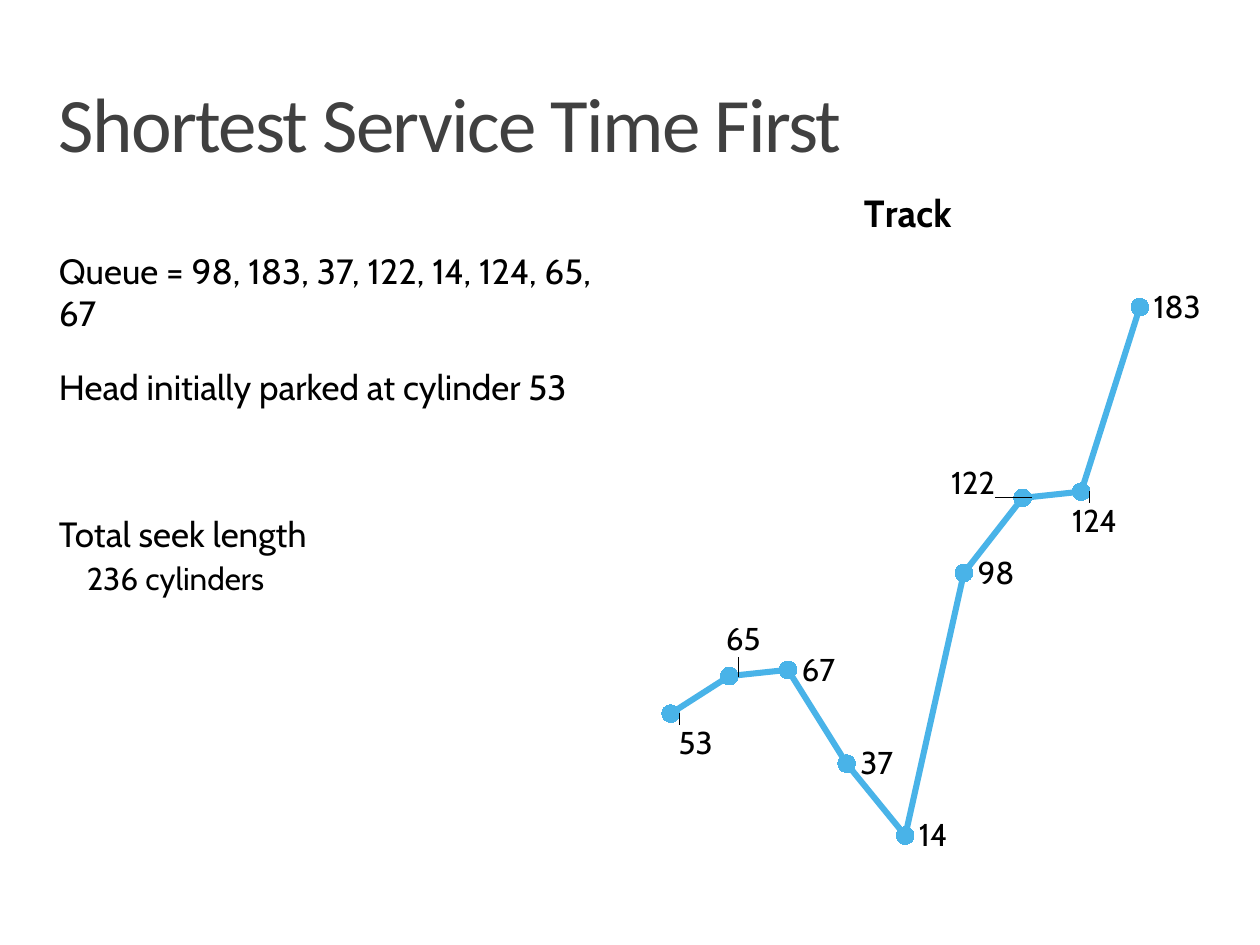
import pptx
import pptx.chart.data
import pptx.dml.color
import pptx.enum.chart
import pptx.enum.text
import pptx.oxml
import pptx.oxml.ns
import pptx.util
from pptx.util import Cm, Pt

BODY_FONT = "Cabin"
BLACK = "000000"
TRACK_BLUE = "49B3E8"
TRACKS = [53, 65, 67, 37, 14, 98, 122, 124, 183]
# Shift of a label from its place right of the point, as a share of the chart
LABEL_SHIFTS = {0: (-0.01, 0.04), 1: (-0.03, -0.05), 6: (-0.15, -0.02), 7: (-0.04, 0.04)}


def color(hex_string):
    return pptx.dml.color.RGBColor.from_string(hex_string)


def format_font(font, size, name=BODY_FONT, fill=BLACK, bold=False):
    font.size = Pt(size)
    font.name = name
    font.bold = bold
    font.color.rgb = color(fill)


def add_text(frame, text, size=20, name=BODY_FONT, fill=BLACK, before=0,
             line_spacing=1.0, indent=0, character_spacing=0):
    """Add a paragraph, using the frame's first one while it is still empty."""
    paragraph = frame.paragraphs[0] if not frame.text else frame.add_paragraph()
    paragraph.space_before = Pt(before)
    paragraph.line_spacing = line_spacing
    if indent:
        paragraph.level = 1
        properties = paragraph._p.get_or_add_pPr()
        properties.set("marL", str(Cm(indent)))
        properties.set("indent", "0")
    run = paragraph.add_run()
    run.text = text
    format_font(run.font, size, name, fill)
    if character_spacing:
        run._r.get_or_add_rPr().set("spc", str(character_spacing * 100))


def add_frame(slide, left, top, width, height, top_margin=0):
    frame = slide.shapes.add_textbox(Cm(left), Cm(top), Cm(width), Cm(height)).text_frame
    frame.word_wrap = True
    frame.vertical_anchor = pptx.enum.text.MSO_ANCHOR.TOP
    frame.margin_left = frame.margin_right = frame.margin_bottom = 0
    frame.margin_top = Cm(top_margin)
    return frame


def set_layout(element, index, **values):
    """Give a chart part a manual layout, as the child at the given index."""
    for old_layout in element.findall(pptx.oxml.ns.qn("c:layout")):
        element.remove(old_layout)
    settings = "".join(f'<c:{key} val="{value}"/>' for key, value in values.items())
    element.insert(index, pptx.oxml.parse_xml(
        f'<c:layout {pptx.oxml.ns.nsdecls("c")}>'
        f"<c:manualLayout>{settings}</c:manualLayout></c:layout>"))


def add_title(slide, left, top, width, height):
    frame = add_frame(slide, left, top, width, height, top_margin=0.1)
    add_text(frame, "Shortest Service Time First", size=44, name="Calibri",
             fill="404040", line_spacing=0.8, character_spacing=-1)


def add_notes_column(slide, left, top, width, height):
    frame = add_frame(slide, left, top, width, height)
    add_text(frame, "Queue = 98, 183, 37, 122, 14, 124, 65, 67")
    add_text(frame, "Head initially parked at cylinder 53", before=18)
    add_text(frame, "Total seek length", before=60)
    add_text(frame, "236 cylinders", size=18, before=3, indent=0.56)


def format_track_series(series):
    series.smooth = False
    series.format.line.width = Pt(3.5)
    series.format.line.color.rgb = color(TRACK_BLUE)
    series.marker.style = pptx.enum.chart.XL_MARKER_STYLE.CIRCLE
    series.marker.size = 10
    series.marker.format.fill.solid()
    series.marker.format.fill.fore_color.rgb = color(TRACK_BLUE)
    series.marker.format.line.fill.background()

    right = pptx.enum.chart.XL_LABEL_POSITION.RIGHT
    labels = series.data_labels
    labels.show_value = True
    labels.position = right
    format_font(labels.font, 18)
    for index, (x, y) in LABEL_SHIFTS.items():
        label = series.points[index].data_label
        format_font(label.font, 18)
        label.position = right
        set_layout(label._get_or_add_dLbl(), 1, x=x, y=y)


def add_track_chart(slide, left, top, width, height):
    data = pptx.chart.data.CategoryChartData()
    data.categories = [str(number) for number in range(1, len(TRACKS) + 1)]
    data.add_series("Track", TRACKS)
    chart = slide.shapes.add_chart(
        pptx.enum.chart.XL_CHART_TYPE.LINE_MARKERS,
        Cm(left), Cm(top), Cm(width), Cm(height), data).chart
    format_font(chart.font, 18)
    chart.has_legend = False

    chart.has_title = True
    add_text(chart.chart_title.text_frame, "Track", size=21.6)
    chart.chart_title.text_frame.paragraphs[0].runs[0].font.bold = True
    set_layout(chart.chart_title._element, 1, xMode="edge", yMode="edge", x=0.4, y=0.04)

    chart.value_axis.minimum_scale = 0
    chart.value_axis.maximum_scale = 200
    chart.value_axis.has_major_gridlines = False
    chart.value_axis.visible = False
    chart.category_axis.visible = False
    set_layout(chart._chartSpace.chart.plotArea, 0, layoutTarget="inner",
               xMode="edge", yMode="edge", x=0.02, y=0.14, w=0.93, h=0.84)

    chart.plots[0].vary_by_categories = False
    format_track_series(chart.plots[0].series[0])


def main():
    presentation = pptx.Presentation()
    presentation.slide_width = Cm(25.4)
    presentation.slide_height = Cm(19.05)
    slide = presentation.slides.add_slide(presentation.slide_layouts[6])
    add_title(slide, 1.19, 1.78, 23.01, 2.26)
    add_notes_column(slide, 1.19, 5.03, 10.74, 13)
    add_track_chart(slide, 12.7, 3.02, 11.51, 15.01)
    presentation.save("out.pptx")


if __name__ == "__main__":
    main()
